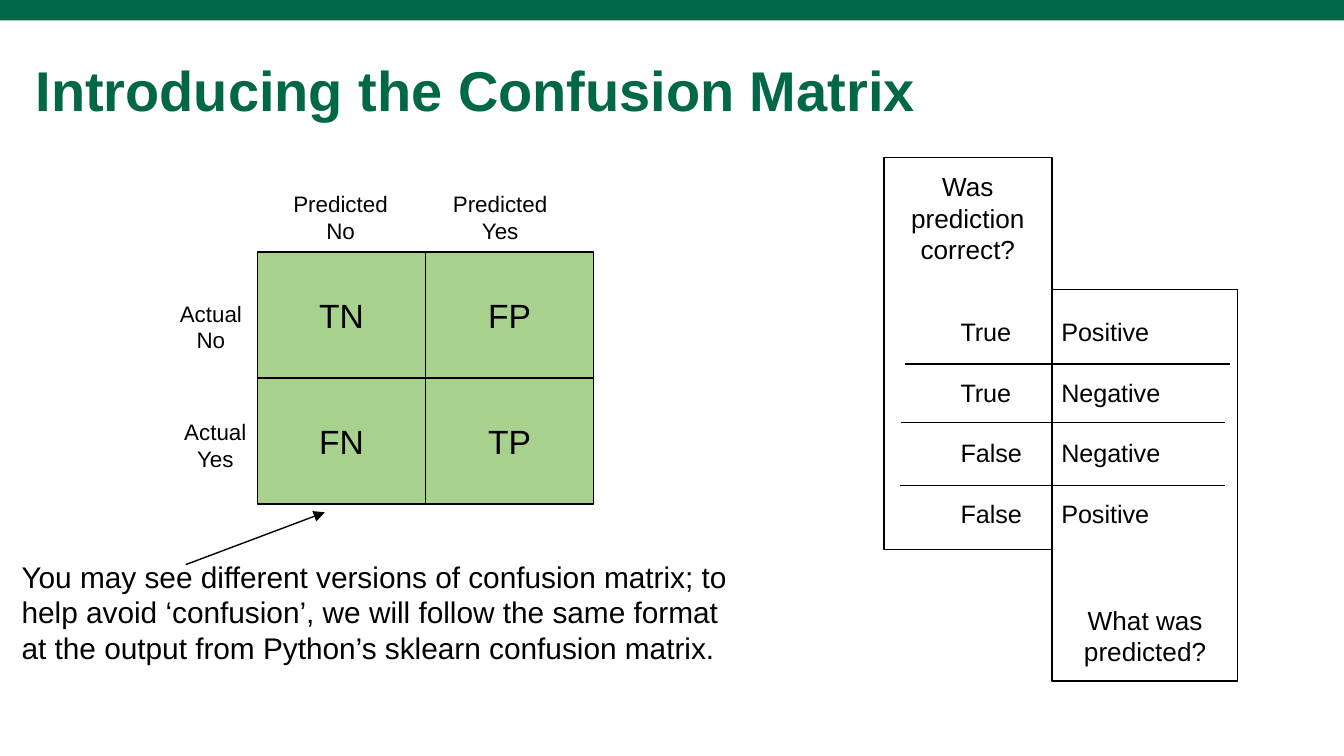
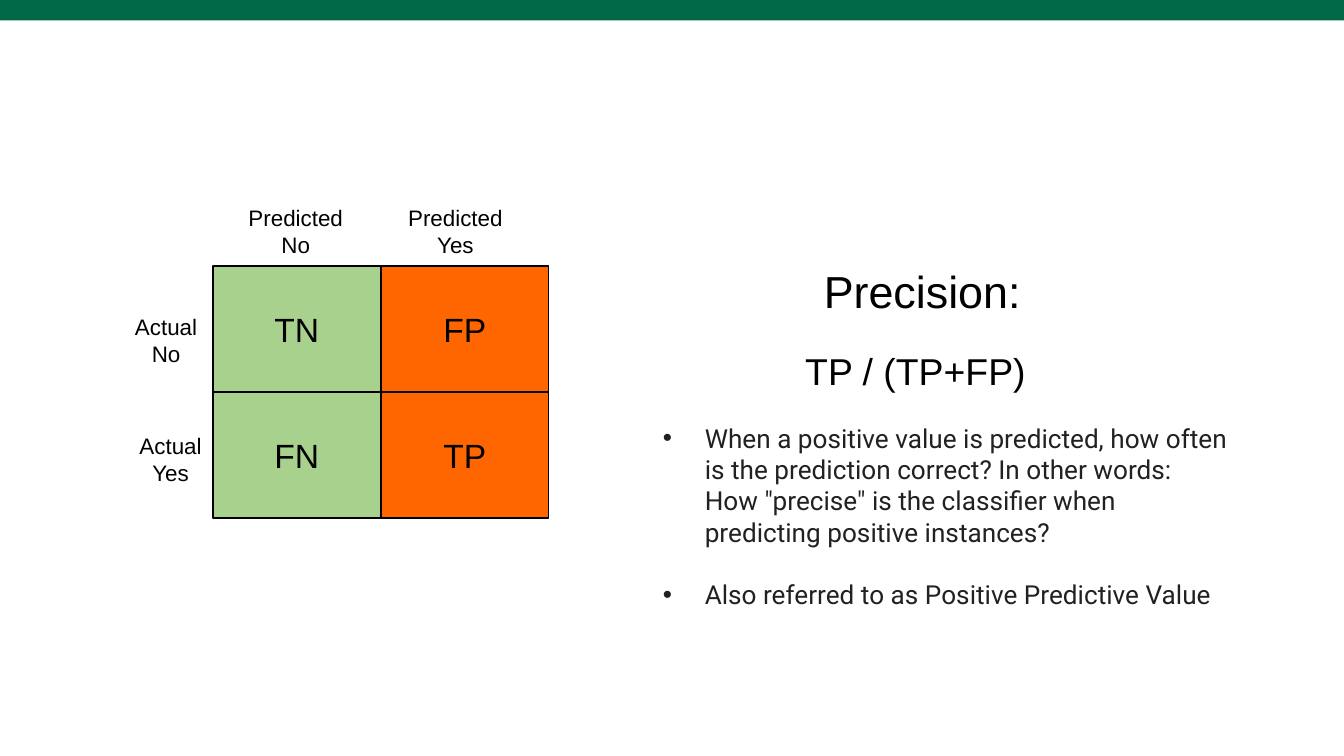
import pptx
import pptx.dml.color
import pptx.enum.shapes
import pptx.enum.text
import pptx.oxml
import pptx.oxml.ns
import pptx.util

Pt = pptx.util.Pt
RGBColor = pptx.dml.color.RGBColor
ALIGN = pptx.enum.text.PP_ALIGN
ANCHOR = pptx.enum.text.MSO_ANCHOR

# Shared look
GREEN = RGBColor(0x00, 0x67, 0x47)
LEAF = RGBColor(0xA9, 0xD1, 0x8E)
ORANGE = RGBColor(0xFF, 0x66, 0x00)
BLACK = RGBColor(0x00, 0x00, 0x00)
CHARCOAL = RGBColor(0x21, 0x21, 0x21)
FONT = "Arial"
BODY_FONT = "Roboto"
PAGE_WIDTH, PAGE_HEIGHT = 720, 405
LINE_WIDTH = 0.75

# Confusion matrix
CELL_WIDTH, CELL_HEIGHT = 90, 67.5
MATRIX = (("TN", "FP"), ("FN", "TP"))
ANSWERS = ("No", "Yes")


def add_xml(parent, tag, **attributes):
    element = pptx.oxml.parse_xml(f"<a:{tag} {pptx.oxml.ns.nsdecls('a')}/>")
    for name, value in attributes.items():
        element.set(name, str(value))
    parent.append(element)
    return element


def write(box, lines, size, color=BLACK, font=FONT, align=ALIGN.LEFT, gap=0):
    """Fill a box with one paragraph per line, gap points apart."""
    frame = box.text_frame
    frame.text = "\n".join(lines)
    for index, para in enumerate(frame.paragraphs):
        para.alignment = align
        para.font.name, para.font.size = font, Pt(size)
        para.font.color.rgb = color
        if index:
            para.space_before = Pt(gap)
    return frame.paragraphs


def add_text(page, left, top, width, height, lines, size, wrap=True, **style):
    box = page.shapes.add_textbox(Pt(left), Pt(top), Pt(width), Pt(height))
    box.text_frame.word_wrap = wrap
    write(box, lines, size, **style)
    return box


def add_rectangle(page, left, top, width, height, fill=None, line=BLACK):
    box = page.shapes.add_shape(pptx.enum.shapes.MSO_SHAPE.RECTANGLE,
                                Pt(left), Pt(top), Pt(width), Pt(height))
    box.shadow.inherit = False
    if fill is None:
        box.fill.background()
    else:
        box.fill.solid()
        box.fill.fore_color.rgb = fill
    if line is None:
        box.line.fill.background()
    else:
        box.line.color.rgb = line
        box.line.width = Pt(LINE_WIDTH)
    return box


def add_line(page, x1, y1, x2, y2, arrow=False):
    line = page.shapes.add_connector(pptx.enum.shapes.MSO_CONNECTOR.STRAIGHT,
                                     Pt(x1), Pt(y1), Pt(x2), Pt(y2))
    line.line.color.rgb = BLACK
    line.line.width = Pt(LINE_WIDTH)
    if arrow:
        add_xml(line.line._get_or_add_ln(), "tailEnd", type="triangle")
    add_xml(line._element.spPr, "effectLst")


def add_page(deck):
    page = deck.slides.add_slide(deck.slide_layouts[6])
    add_rectangle(page, 0, 0, PAGE_WIDTH, 11, GREEN, line=None)
    return page


def add_title(page, text):
    box = add_text(page, 12, 11, 495, 78, [text], 30, color=GREEN)
    box.text_frame.vertical_anchor = ANCHOR.MIDDLE
    para = box.text_frame.paragraphs[0]
    para.font.bold = True
    para.line_spacing = 0.9


def add_matrix(page, left, top, predicted_yes_fill=LEAF):
    fills = (LEAF, predicted_yes_fill)
    for row, names in enumerate(MATRIX):
        for column, name in enumerate(names):
            cell = add_rectangle(page, left + column * CELL_WIDTH, top + row * CELL_HEIGHT,
                                 CELL_WIDTH, CELL_HEIGHT, fills[column])
            cell.text_frame.vertical_anchor = ANCHOR.MIDDLE
            write(cell, [name], 18, align=ALIGN.CENTER)
    # Column and row headings
    for index, answer in enumerate(ANSWERS):
        add_text(page, left + 10 + 85.5 * index, top - 36.5, 69, 36, ["Predicted", answer],
                 12, wrap=False, align=ALIGN.CENTER)
        add_text(page, left - 49 + 2.4 * index, top + 22 + 63.3 * index, 48, 36,
                 ["Actual", answer], 12, wrap=False, align=ALIGN.CENTER)


def add_outcome_key(page, left, top):
    """Two staggered panels that explain how the cell names are formed."""
    add_rectangle(page, left, top, 90, 210)
    add_rectangle(page, left + 90, top + 70.5, 99.5, 210)
    add_text(page, left, top + 3.5, 90, 58, ["Was prediction correct?"], 14, align=ALIGN.CENTER)
    add_text(page, left + 95, top + 235.5, 90, 41, ["What was predicted?"], 14,
             align=ALIGN.CENTER)
    # Outcome names, second words aligned at a tab stop
    outcomes = ["True \tPositive", "True \tNegative", "False \tNegative", "False \tPositive"]
    box = add_text(page, left + 34, top + 81.5, 123, 122, outcomes, 13.5, wrap=False, gap=16.3)
    for para in box.text_frame.paragraphs:
        stops = add_xml(para._p.get_or_add_pPr(), "tabLst")
        add_xml(stops, "tab", pos=Pt(54), algn="l")
    # Row separators
    for indent, drop in ((11.2, 110.5), (9, 142), (8.6, 175.5)):
        add_line(page, left + indent, top + drop, left + indent + 174, top + drop)


def add_precision(page, left, top):
    add_text(page, left + 85.5, top, 121, 36, ["Precision:"], 24, wrap=False,
             align=ALIGN.CENTER)
    add_text(page, left + 76.3, top + 45.5, 134, 32, ["TP / (TP+FP)"], 20, wrap=False)
    points = [
        "When a positive value is predicted, how often is the prediction correct? "
        "In other words: How \"precise\" is the classifier when predicting positive instances?",
        "Also referred to as Positive Predictive Value",
    ]
    box = add_text(page, left, top + 85, 319, 126, points, 14, color=CHARCOAL,
                   font=BODY_FONT, gap=16.7)
    for para in box.text_frame.paragraphs:
        properties = para._p.get_or_add_pPr()
        properties.set("marL", str(Pt(22.5)))
        properties.set("indent", str(Pt(-22.5)))
        add_xml(properties, "buFont", typeface=FONT)
        add_xml(properties, "buChar", char="•")
        # Character defaults close the paragraph properties
        properties.append(properties.find(pptx.oxml.ns.qn("a:defRPr")))


def build_introduction(deck):
    page = add_page(deck)
    add_title(page, "Introducing the Confusion Matrix")
    add_matrix(page, 138, 135)
    add_outcome_key(page, 473.5, 84.5)
    # Note on the layout of the matrix
    add_line(page, 99.5, 302.5, 174, 274.5, arrow=True)
    add_text(page, 4.5, 295.5, 393, 85,
             ["You may see different versions of confusion matrix; to help avoid ‘confusion’, "
              "we will follow the same format at the output from Python’s sklearn "
              "confusion matrix."], 16)


def build_precision(deck):
    page = add_page(deck)
    add_matrix(page, 114, 142.5, predicted_yes_fill=ORANGE)
    add_precision(page, 348, 137.5)


def main():
    deck = pptx.Presentation()
    deck.slide_width, deck.slide_height = Pt(PAGE_WIDTH), Pt(PAGE_HEIGHT)
    build_introduction(deck)
    build_precision(deck)
    deck.save("out.pptx")


if __name__ == "__main__":
    main()
